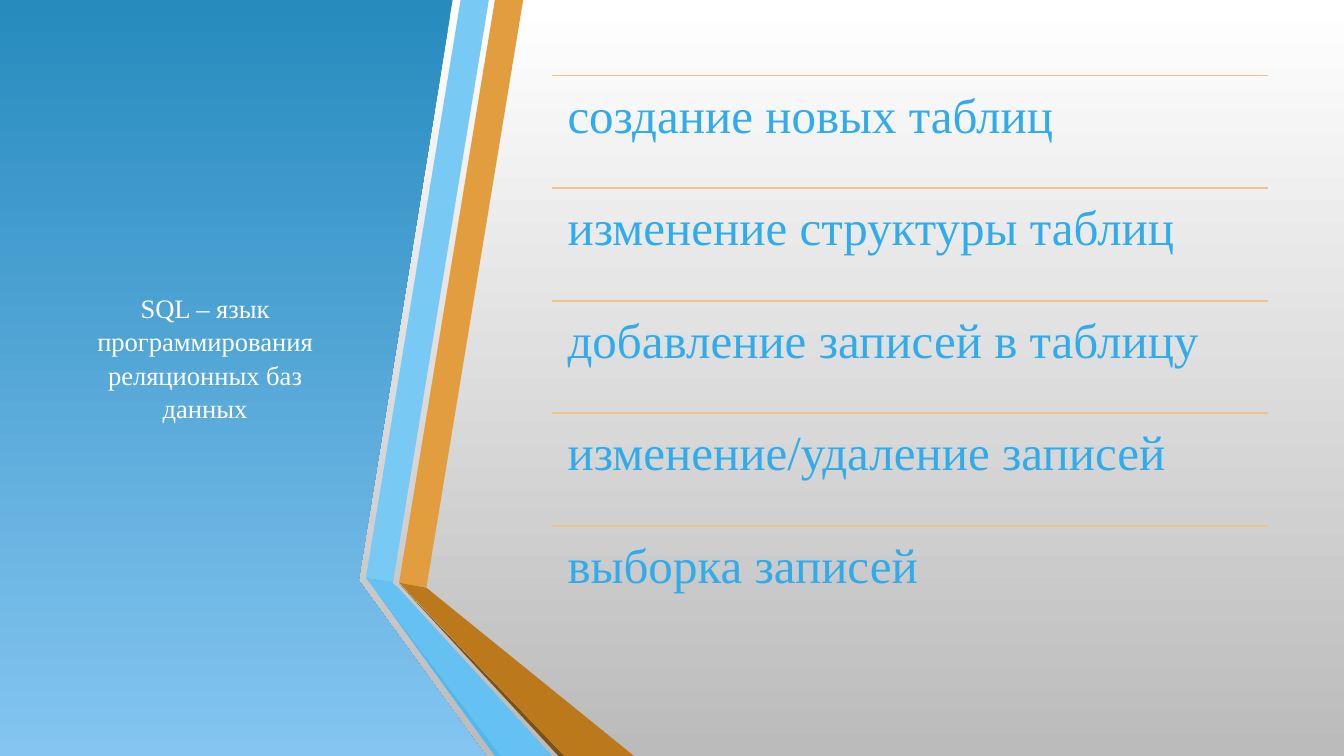
from dataclasses import dataclass

from lxml import etree
from pptx import Presentation
from pptx.dml.color import RGBColor
from pptx.enum import shapes, text
from pptx.oxml import ns
from pptx.util import Pt


@dataclass(frozen=True)
class Theme:
    font: str = "Times New Roman"
    title_size: int = 19
    item_size: int = 35
    white: str = "FFFFFF"
    grey: str = "BBBBBB"
    panel_top: str = "278BBE"
    panel_bottom: str = "84C5F1"
    item: str = "30ACEC"
    rule: str = "EDC48B"
    orange: str = "E29D3E"
    sky: str = "78C9F3"
    sky_edge: str = "4FB8EF"
    brown_edge: str = "7D5013"
    brown: str = "BC791C"
    sky_fold: str = "64C1F1"


THEME = Theme()
WIDTH, HEIGHT = 960, 540

TITLE = "SQL – язык программирования реляционных баз данных"
ITEMS = [
    "создание новых таблиц",
    "изменение структуры таблиц",
    "добавление записей в таблицу",
    "изменение/удаление записей",
    "выборка записей",
]
LIST_LEFT, LIST_TOP, LIST_WIDTH, ROW_HEIGHT = 394.6, 54, 511.2, 80.4

PANEL = [(0, 0), (323.3, 0), (256.3, 414), (256.3, 414.7), (347, 540), (0, 540)]
RIBBONS = [
    (THEME.orange, [(285.1, 416.2), (304.6, 419.8), (373.7, 0), (353.5, 0)]),
    (THEME.sky, [(349.2, 0), (329, 0), (261.4, 412.6), (280.8, 415.4)]),
    (THEME.sky_edge, [(261.4, 412.6), (353.5, 540), (357.8, 540)]),
    (THEME.brown_edge, [(285.1, 416.9), (398.9, 540), (403.2, 540)]),
    (THEME.brown, [(285.1, 416.2), (403.2, 540), (452.9, 540), (304.6, 419.8)]),
    (THEME.sky_fold, [(394.6, 540), (284.4, 419.8), (280.1, 416.2),
                      (280.8, 415.4), (261.4, 412.6), (357.8, 540)]),
]
# The panel's right edge follows the ribbons behind it.
PANEL[1:4] = [(323.3, 0), (256.3, 414), (256.3, 414.7)]


def fill_gradient(fill, top, bottom):
    fill.gradient()
    fill.gradient_angle = 270
    for stop, colour in zip(fill.gradient_stops, (top, bottom)):
        stop.color.rgb = RGBColor.from_string(colour)


def add_polygon(parent, points):
    start, *rest = [(Pt(x), Pt(y)) for x, y in points]
    builder = parent.shapes.build_freeform(*start, scale=1.0)
    builder.add_line_segments(rest, close=True)
    polygon = builder.convert_to_shape()
    polygon.shadow.inherit = False
    polygon.line.fill.background()
    return polygon


def add_rule(parent, left, top, width):
    rule = parent.shapes.add_connector(
        shapes.MSO_CONNECTOR.STRAIGHT, Pt(left), Pt(top), Pt(left + width), Pt(top))
    rule.line.color.rgb = RGBColor.from_string(THEME.rule)
    rule.line.width = Pt(1.25)
    etree.SubElement(rule._element.spPr, ns.qn("a:effectLst"))


def add_text(parent, words, *, left, top, width, height, size, colour,
             inset=(7.2, 3.6), spacing=1.0, align=text.PP_ALIGN.LEFT,
             anchor=text.MSO_ANCHOR.TOP):
    box = parent.shapes.add_textbox(Pt(left), Pt(top), Pt(width), Pt(height))
    frame = box.text_frame
    frame.word_wrap = True
    frame.vertical_anchor = anchor
    frame.margin_left = frame.margin_right = Pt(inset[0])
    frame.margin_top = frame.margin_bottom = Pt(inset[1])
    para = frame.paragraphs[0]
    para.alignment = align
    para.line_spacing = spacing
    span = para.add_run()
    span.text = words
    span.font.name = THEME.font
    span.font.size = Pt(size)
    span.font.color.rgb = RGBColor.from_string(colour)


def add_backdrop(page):
    fill_gradient(page.background.fill, THEME.white, THEME.grey)
    backdrop = page.shapes.add_shape(
        shapes.MSO_SHAPE.RECTANGLE, 0, 0, Pt(WIDTH), Pt(HEIGHT))
    backdrop.shadow.inherit = False
    backdrop.line.fill.background()
    fill_gradient(backdrop.fill, THEME.white, THEME.grey)


def add_ribbons(page):
    group = page.shapes.add_group_shape()
    for colour, points in RIBBONS:
        ribbon = add_polygon(group, points)
        ribbon.fill.solid()
        ribbon.fill.fore_color.rgb = RGBColor.from_string(colour)


def add_list(page):
    group = page.shapes.add_group_shape()
    for row, item in enumerate(ITEMS):
        top = LIST_TOP + row * ROW_HEIGHT
        add_rule(group, LIST_LEFT, top, LIST_WIDTH)
        add_text(group, item, left=LIST_LEFT, top=top, width=LIST_WIDTH,
                 height=ROW_HEIGHT, size=THEME.item_size, colour=THEME.item,
                 inset=(10.8, 10.8), spacing=0.9)


def main():
    deck = Presentation()
    deck.slide_width, deck.slide_height = Pt(WIDTH), Pt(HEIGHT)
    page = deck.slides.add_slide(deck.slide_layouts[6])

    # Background and blue title panel
    add_backdrop(page)
    panel = add_polygon(page, PANEL)
    fill_gradient(panel.fill, THEME.panel_top, THEME.panel_bottom)
    add_text(page, TITLE, left=42.5, top=54, width=208, height=402,
             size=THEME.title_size, colour=THEME.white, spacing=1.05,
             align=text.PP_ALIGN.CENTER, anchor=text.MSO_ANCHOR.MIDDLE)

    # Folded ribbons
    add_ribbons(page)

    # Ruled list
    add_list(page)

    deck.save("out.pptx")


if __name__ == "__main__":
    main()
